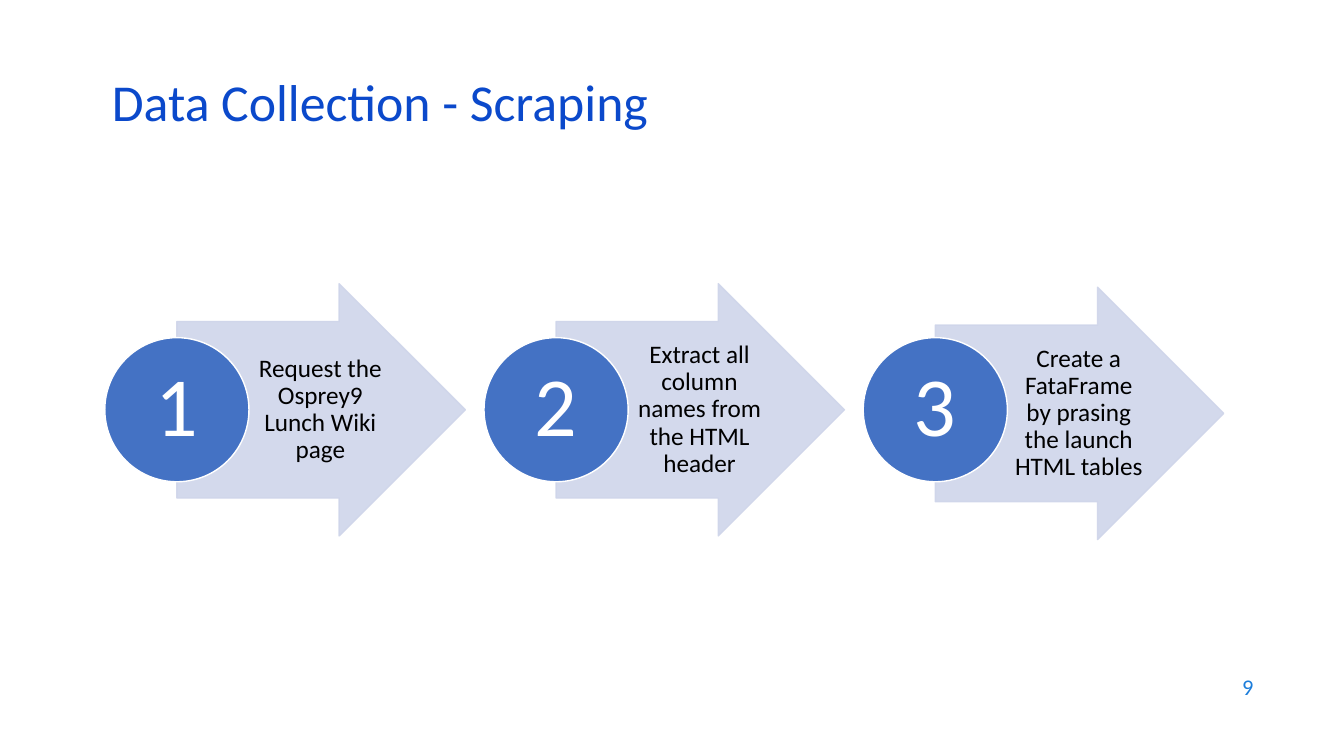
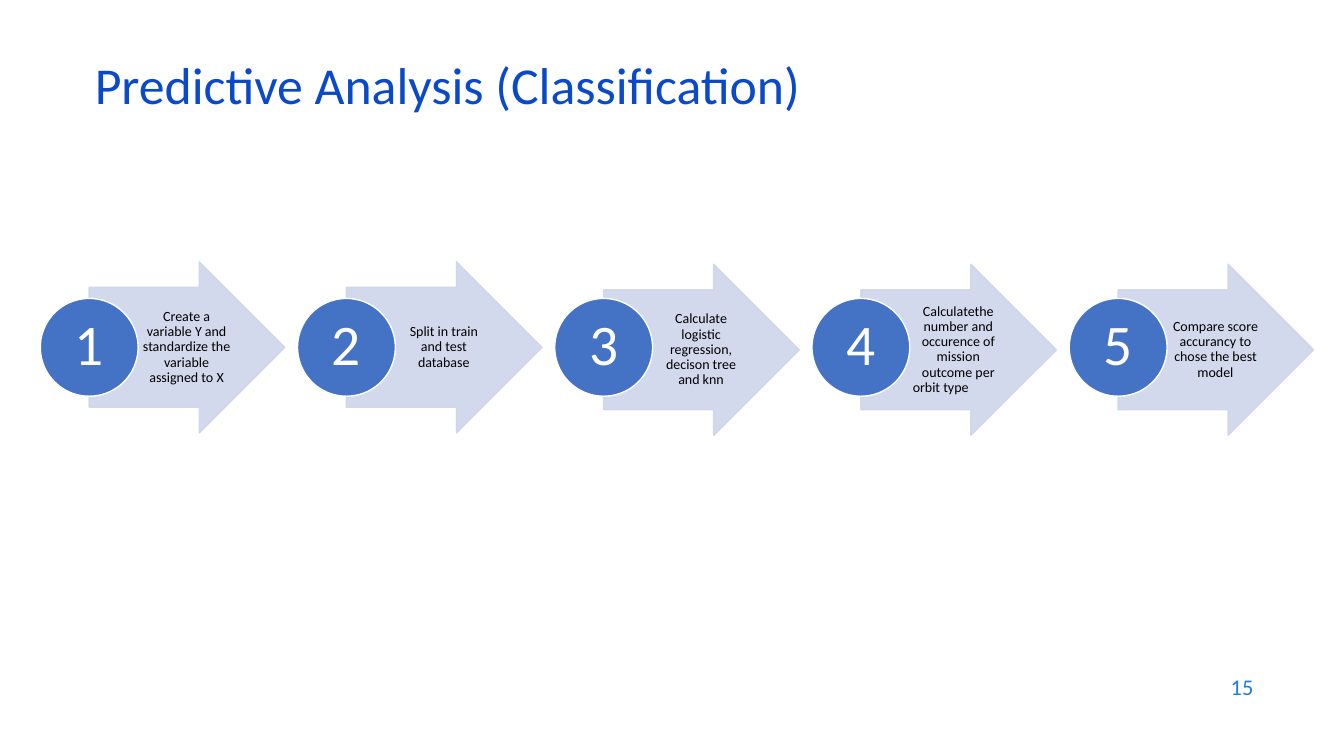
from lxml import etree
from pptx import Presentation
from pptx import util as u
from pptx.dml import color
from pptx.enum import shapes, text
from pptx.oxml import ns

WIDE, HIGH = u.Inches(13.33), u.Inches(7.5)
FONT = "Calibri"
HUES = {"title": "0B49CB", "page": "1C7DDB", "arrow": "CFD5EA",
        "disc": "4472C4", "white": "FFFFFF", "black": "000000"}
PITCH, SPAN = 2.63, 2.5
DROP = 0.025

DECK = [
    {"title": "Data Collection - Scraping", "at": (7.58, 10.13), "page": "9",
     "box": (7.8, 83.25, 54.2), "size": 18, "digit": 60,
     "steps": ["Request the Osprey9 Lunch Wiki page",
               "Extract all column names from the HTML header",
               "Create a FataFrame by prasing the launch HTML tables"]},
    {"title": "Predictive Analysis (Classification)", "at": (6.3, 7.87), "page": "15",
     "box": (3, 94.75, 45.95), "size": 10, "digit": 41,
     "steps": ["Create a variable Y and standardize the variable assigned to X",
               "Split in train and test database",
               "Calculate logistic regression, decison tree and knn",
               "Calculatethe number and occurence of mission outcome per orbit type\t",
               "Compare score accurancy to chose the best model"]},
]


def share(x, y, w, h):
    """Turn percentages of the slide into lengths."""
    return [int(part * full / 100) for part, full in zip((x, y, w, h), (WIDE, HIGH) * 2)]


def place(shape, x, y, w, h):
    """Move and size a shape."""
    shape.left, shape.top, shape.width, shape.height = map(int, (x, y, w, h))


def write(shape, words, size, hue, align="LEFT", lead=None, inset=None):
    """Put formatted text in a shape."""
    frame = shape.text_frame
    frame.word_wrap = True
    frame.auto_size = text.MSO_AUTO_SIZE.NONE
    frame.vertical_anchor = text.MSO_ANCHOR.MIDDLE
    if inset:
        (frame.margin_left, frame.margin_top,
         frame.margin_right, frame.margin_bottom) = map(int, inset)
    para = frame.paragraphs[0]
    para.alignment = getattr(text.PP_ALIGN, align)
    if lead:
        para.line_spacing = lead
    run = para.add_run()
    run.text = words
    run.font.size, run.font.name = u.Pt(size), FONT
    run.font.color.rgb = color.RGBColor.from_string(HUES[hue])


def draw(slide, kind, box, fill, line, alpha=None):
    """Add a filled and outlined preset shape."""
    shape = slide.shapes.add_shape(getattr(shapes.MSO_SHAPE, kind), *map(int, box))
    shape.shadow.inherit = False
    shape.fill.solid()
    shape.fill.fore_color.rgb = color.RGBColor.from_string(HUES[fill])
    shape.line.color.rgb = color.RGBColor.from_string(HUES[line])
    shape.line.width = u.Pt(1)
    if alpha:
        for hue in shape._element.spPr.iter(ns.qn("a:srgbClr")):
            etree.SubElement(hue, ns.qn("a:alpha")).set("val", str(alpha * 1000))
    return shape


def step(slide, x, mid, unit, drop, digit, words, item):
    """Draw one arrow, its label and its numbered disc."""
    axis = mid + drop
    arrow = draw(slide, "RIGHT_ARROW", (x + unit / 2, axis - unit * 0.875, unit * 2, unit * 1.75),
                 "arrow", "arrow", alpha=90)
    arrow.adjustments[0], arrow.adjustments[1] = 0.7, 0.5
    label = slide.shapes.add_textbox(0, 0, 0, 0)
    place(label, x + unit, axis - unit * 0.61, unit * 0.98, unit * 1.22)
    write(label, words, item["size"], "black", "CENTER", 0.9,
          [unit * gap for gap in (0.03, 0.01, 0.02, 0.01)])
    disc = draw(slide, "OVAL", (x, mid - unit / 2, unit, unit), "disc", "white")
    write(disc, digit, item["digit"], "white", "CENTER", 0.9, [unit * 0.03] * 4)


def chain(slide, item):
    """Fill a box with a row of equally spaced steps."""
    left, width, mid = item["box"]
    x, axis, span, _ = share(left, mid, width, 0)
    unit = span / (PITCH * (len(item["steps"]) - 1) + SPAN)
    for i, words in enumerate(item["steps"]):
        drop = DROP * unit if i > 1 else 0
        step(slide, x + i * PITCH * unit, axis, unit, drop, str(i + 1), words, item)


def build(deck, item):
    """Add one slide with title, page number and steps."""
    slide = deck.slides.add_slide(deck.slide_layouts[5])
    title = slide.shapes.title
    place(title, *share(*item["at"], 86.25, 8))
    write(title, item["title"], 37, "title", lead=0.8)
    page = slide.shapes.add_textbox(*share(71.5, 87.87, 22.5, 5.87))
    write(page, item["page"], 16, "page", "RIGHT")
    chain(slide, item)


def main():
    """Build and save the deck."""
    deck = Presentation()
    deck.slide_width, deck.slide_height = WIDE, HIGH
    for item in DECK:
        build(deck, item)
    deck.save("out.pptx")


if __name__ == "__main__":
    main()
